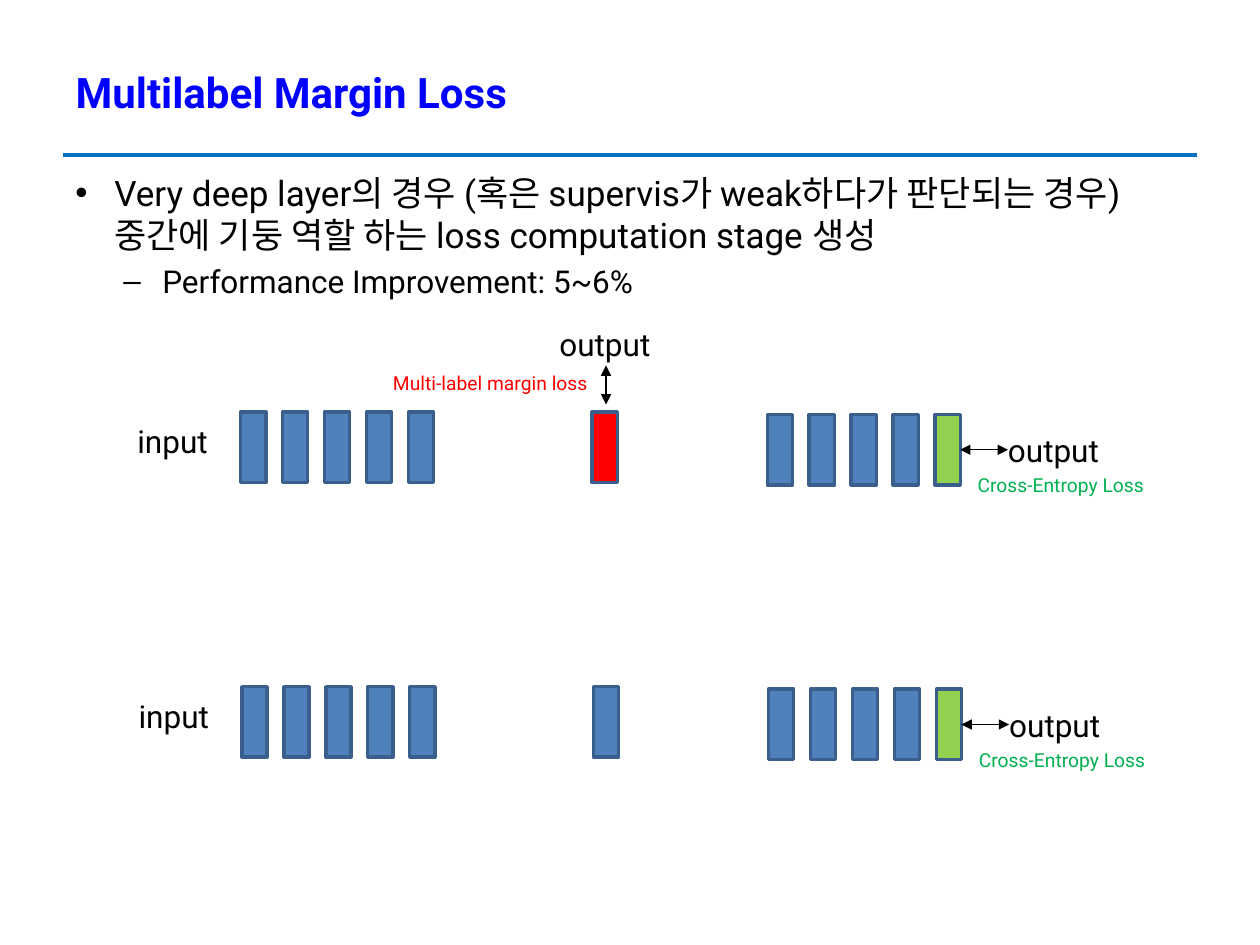
from lxml.etree import SubElement
from pptx import Presentation
from pptx.dml.color import RGBColor
from pptx.enum.shapes import MSO_CONNECTOR, MSO_SHAPE
from pptx.enum.text import MSO_ANCHOR, PP_ALIGN
from pptx.oxml.ns import qn
from pptx.util import Inches, Pt

FONT = "Roboto"
BLACK, BLUE, GREEN, RED = "000000", "4F81BD", "92D050", "FF0000"
LAYER_WIDTH, LAYER_HEIGHT, LAYER_STEP = 0.2, 0.56, 0.333


def color(value):
    """Turn a hex string into a colour."""
    return RGBColor.from_string(value)


def write(paragraph, text, size=18, fill=BLACK, bold=False, before=0):
    """Put formatted text into a paragraph."""
    paragraph.text = text
    paragraph.alignment = PP_ALIGN.LEFT
    paragraph.space_before = Pt(before)
    font = paragraph.font
    font.name, font.size, font.bold = FONT, Pt(size), bold
    font.color.rgb = color(fill)


def add_bullet(paragraph, mark, indent):
    """Give a paragraph a hanging bullet."""
    properties = paragraph._p.get_or_add_pPr()
    properties.set("marL", str(Inches(indent)))
    properties.set("indent", str(Inches(-0.31)))
    SubElement(properties, qn("a:buFont"), typeface="Arial")
    SubElement(properties, qn("a:buChar"), char=mark)


def add_label(slide, text, left, top, width, height, inset=True, **style):
    """Add a one-line text box, with or without inner margins."""
    frame = slide.shapes.add_textbox(
        Inches(left), Inches(top), Inches(width), Inches(height)).text_frame
    frame.word_wrap = inset
    if not inset:
        frame.margin_left = frame.margin_right = 0
        frame.margin_top = frame.margin_bottom = 0
    write(frame.paragraphs[0], text, **style)


def add_line(slide, start, end, fill=BLACK, width=0.75, arrows=False):
    """Draw a straight line, optionally with an arrowhead at each end."""
    line = slide.shapes.add_connector(
        MSO_CONNECTOR.STRAIGHT, *(Inches(value) for value in start + end))
    line.line.color.rgb = color(fill)
    line.line.width = Pt(width)
    if arrows:
        outline = line.line._get_or_add_ln()
        for tag in ("a:headEnd", "a:tailEnd"):
            SubElement(outline, qn(tag), type="triangle")
    SubElement(line._element.spPr, qn("a:effectLst"))


def add_layers(slide, left, top, fills):
    """Place a row of network layers, one for each fill."""
    for index, fill in enumerate(fills):
        layer = slide.shapes.add_shape(
            MSO_SHAPE.RECTANGLE, Inches(left + index * LAYER_STEP), Inches(top),
            Inches(LAYER_WIDTH), Inches(LAYER_HEIGHT))
        layer.shadow.inherit = False
        layer.fill.solid()
        layer.fill.fore_color.rgb = color(fill)
        layer.line.color.rgb = color("3A5F8C")
        layer.line.width = Pt(2)


def add_heading(slide, left, top, width, height):
    """Format the title and draw the rule below it."""
    title = slide.shapes.title
    title.left, title.top = Inches(left), Inches(top)
    title.width, title.height = Inches(width), Inches(height)
    title.text_frame.vertical_anchor = MSO_ANCHOR.MIDDLE
    write(title.text_frame.paragraphs[0], "Multilabel Margin Loss",
          size=24, fill="0000FF", bold=True)
    rule = top + height + 0.08
    add_line(slide, (left, rule), (left + width, rule), fill="0070C0", width=2)


def add_points(slide, left, top, width, height):
    """Add the bulleted explanation."""
    frame = slide.shapes.add_textbox(
        Inches(left), Inches(top), Inches(width), Inches(height)).text_frame
    frame.word_wrap = True
    idea = frame.paragraphs[0]
    add_bullet(idea, "•", 0.31)
    write(idea, "Very deep layer의 경우 (혹은 supervis가 weak하다가 판단되는 경우)"
                "중간에 기둥 역할 하는 loss computation stage 생성", size=20)
    gain = frame.add_paragraph()
    gain.level = 1
    add_bullet(gain, "‒", 0.69)
    write(gain, "Performance Improvement: 5~6%", before=3.6)


def add_network(slide, left, top, middle_fill):
    """Draw a network from input to output, with its final loss."""
    add_label(slide, "input", left, top + 0.08, 0.56, 0.3, inset=False)
    add_layers(slide, left + 0.82, top, [BLUE] * 5)
    add_layers(slide, left + 3.61, top, [middle_fill])
    add_layers(slide, left + 5, top + 0.02, [BLUE] * 4 + [GREEN])
    add_line(slide, (left + 6.91, top + 0.3), (left + 6.53, top + 0.3), arrows=True)
    add_label(slide, "output", left + 6.91, top + 0.15, 0.73, 0.3, inset=False)
    add_label(slide, "Cross-Entropy Loss", left + 6.57, top + 0.44, 1.79, 0.29,
              size=11, fill="00B050")


def add_middle_loss(slide, left, top):
    """Add the extra output and loss above the middle layer."""
    add_label(slide, "output", left + 1.42, top, 0.73, 0.3, inset=False)
    add_line(slide, (left + 1.79, top + 0.63), (left + 1.79, top + 0.32), arrows=True)
    add_label(slide, "Multi-label margin loss", left, top + 0.32, 1.79, 0.29,
              size=11, fill=RED)


def main():
    """Build and save the slide."""
    deck = Presentation()
    deck.slide_width, deck.slide_height = Inches(10), Inches(7.5)
    slide = deck.slides.add_slide(deck.slide_layouts[5])
    add_heading(slide, 0.5, 0.3, 9, 0.85)
    add_points(slide, 0.5, 1.31, 9, 5.59)
    add_network(slide, 1.09, 3.27, RED)
    add_middle_loss(slide, 3.02, 2.58)
    add_network(slide, 1.1, 5.45, BLUE)
    deck.save("out.pptx")


if __name__ == "__main__":
    main()
